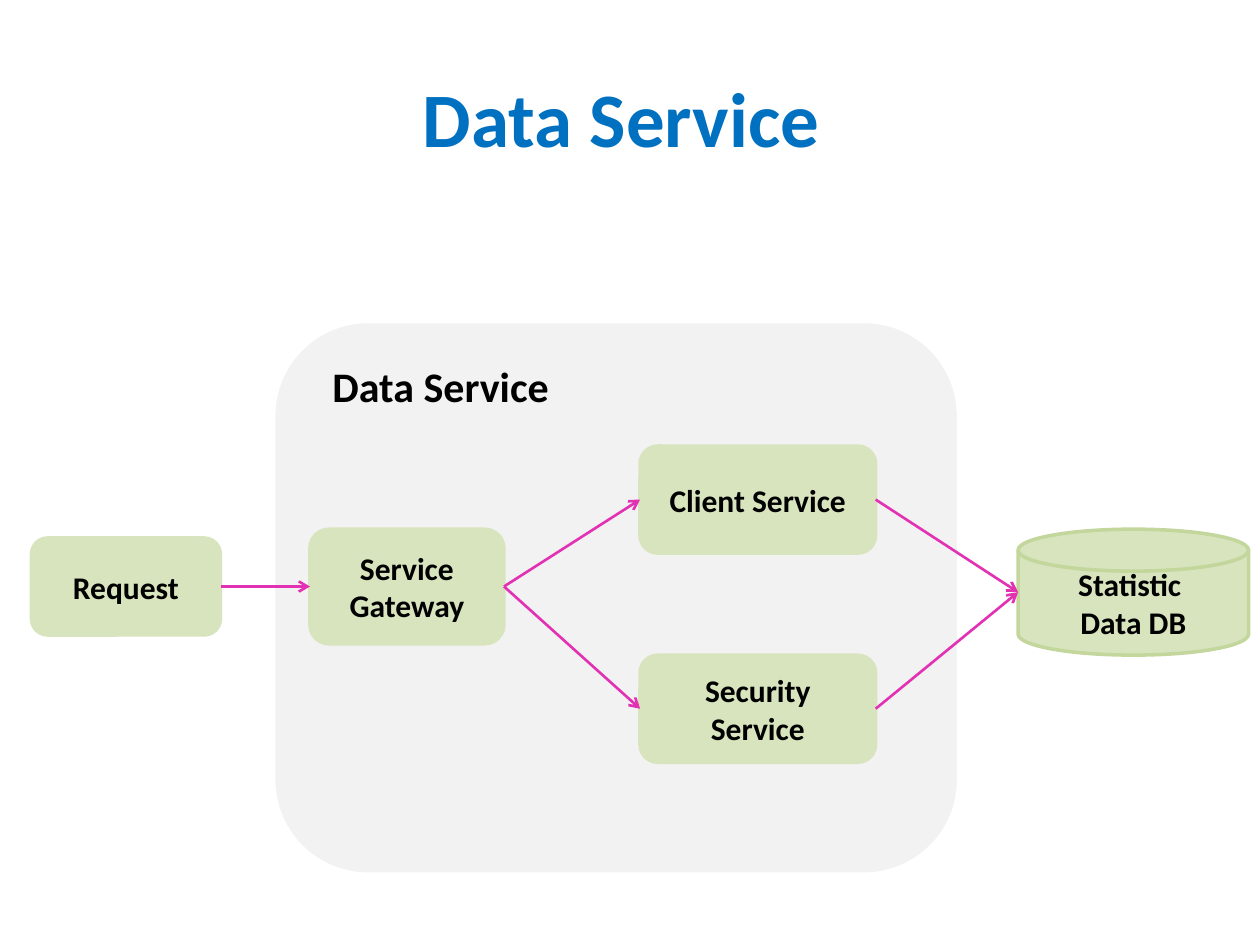
from collections import namedtuple

from lxml import etree
from pptx import Presentation
from pptx import util as u
from pptx.dml.color import RGBColor
from pptx.enum import shapes, text
from pptx.oxml.ns import qn

COLORS = {
    "title": "0070C0", "text": "000000", "panel": "F2F2F2",
    "node": "D7E4BD", "disk_edge": "C3D69B", "arrow": "E331B4",
}
COLS, ROWS = 100, 75
CELL = u.Inches(0.1)
FONT = "Calibri"


class Box(namedtuple("Box", "x y w h")):
    """A region in grid columns and rows."""

    def sub(self, x, y, w, h):
        return Box(self.x + x, self.y + y, w, h)

    def emu(self):
        return [u.Emu(round(v * CELL)) for v in self]


def color(name):
    return RGBColor.from_string(COLORS[name])


def write(sp, lines, size, fill="text", align=text.PP_ALIGN.CENTER,
          anchor=text.MSO_ANCHOR.MIDDLE):
    tf = sp.text_frame
    tf.word_wrap = True
    tf.vertical_anchor = anchor
    tf.text = "\n".join(lines)
    for p in tf.paragraphs:
        p.alignment = align
        p.font.name, p.font.size, p.font.bold = FONT, u.Pt(size), True
        p.font.color.rgb = color(fill)


def add_title(slide, box):
    write(slide.shapes.add_textbox(*box.emu()), ["Data Service "], 44, "title")


def add_block(slide, box, lines=(), fill="node", edge=None,
              kind=shapes.MSO_SHAPE.ROUNDED_RECTANGLE):
    sp = slide.shapes.add_shape(kind, *box.emu())
    sp.shadow.inherit = False
    sp.fill.solid()
    sp.fill.fore_color.rgb = color(fill)
    sp.line.color.rgb = color(edge or fill)
    sp.line.width = u.Pt(2)
    if lines:
        write(sp, lines, 18)
    return sp


def add_panel(slide, box):
    add_block(slide, box, fill="panel")
    label = slide.shapes.add_textbox(*box.sub(3.4, 2.3, 48.3, 5).emu())
    write(label, ["Data Service"], 24, align=text.PP_ALIGN.LEFT,
          anchor=text.MSO_ANCHOR.TOP)


def add_arrow(slide, start, end, join_end=True):
    """Arrow from the right side of start to the left side of end."""
    line = slide.shapes.add_connector(
        shapes.MSO_CONNECTOR.STRAIGHT,
        start.left + start.width, start.top + start.height // 2,
        end.left, end.top + end.height // 2)
    line.begin_connect(start, 3)
    if join_end:
        line.end_connect(end, 1)
    line.line.color.rgb = color("arrow")
    line.line.width = u.Pt(1.5)
    etree.SubElement(line.line._get_or_add_ln(), qn("a:tailEnd"), type="arrow")
    etree.SubElement(line._element.spPr, qn("a:effectLst"))


def add_flow(slide, box):
    add_panel(slide, box.sub(19.5, 0, 53.8, 43.3))
    request = add_block(slide, box.sub(0, 16.9, 15, 7.7), ["Request"])
    gateway = add_block(slide, box.sub(22.1, 16.2, 15.4, 9.1),
                        ["Service Gateway"])
    services = [add_block(slide, box.sub(48.3, y, 18.7, 8.5), [name])
                for y, name in ((9.6, "Client Service"),
                                (26.2, "Security Service"))]
    database = add_block(slide, box.sub(78.3, 16.2, 18.3, 10),
                         ["Statistic ", "Data DB"], edge="disk_edge",
                         kind=shapes.MSO_SHAPE.FLOWCHART_MAGNETIC_DISK)
    add_arrow(slide, request, gateway)
    for service in services:
        add_arrow(slide, gateway, service)
        add_arrow(slide, service, database, join_end=False)


def main():
    prs = Presentation()
    prs.slide_width, prs.slide_height = COLS * CELL, ROWS * CELL
    slide = prs.slides.add_slide(prs.slide_layouts[6])
    add_title(slide, Box(5, 3, 90, 12.5))
    add_flow(slide, Box(2.5, 25.8, 96.6, 43.3))
    prs.save("out.pptx")


if __name__ == "__main__":
    main()
